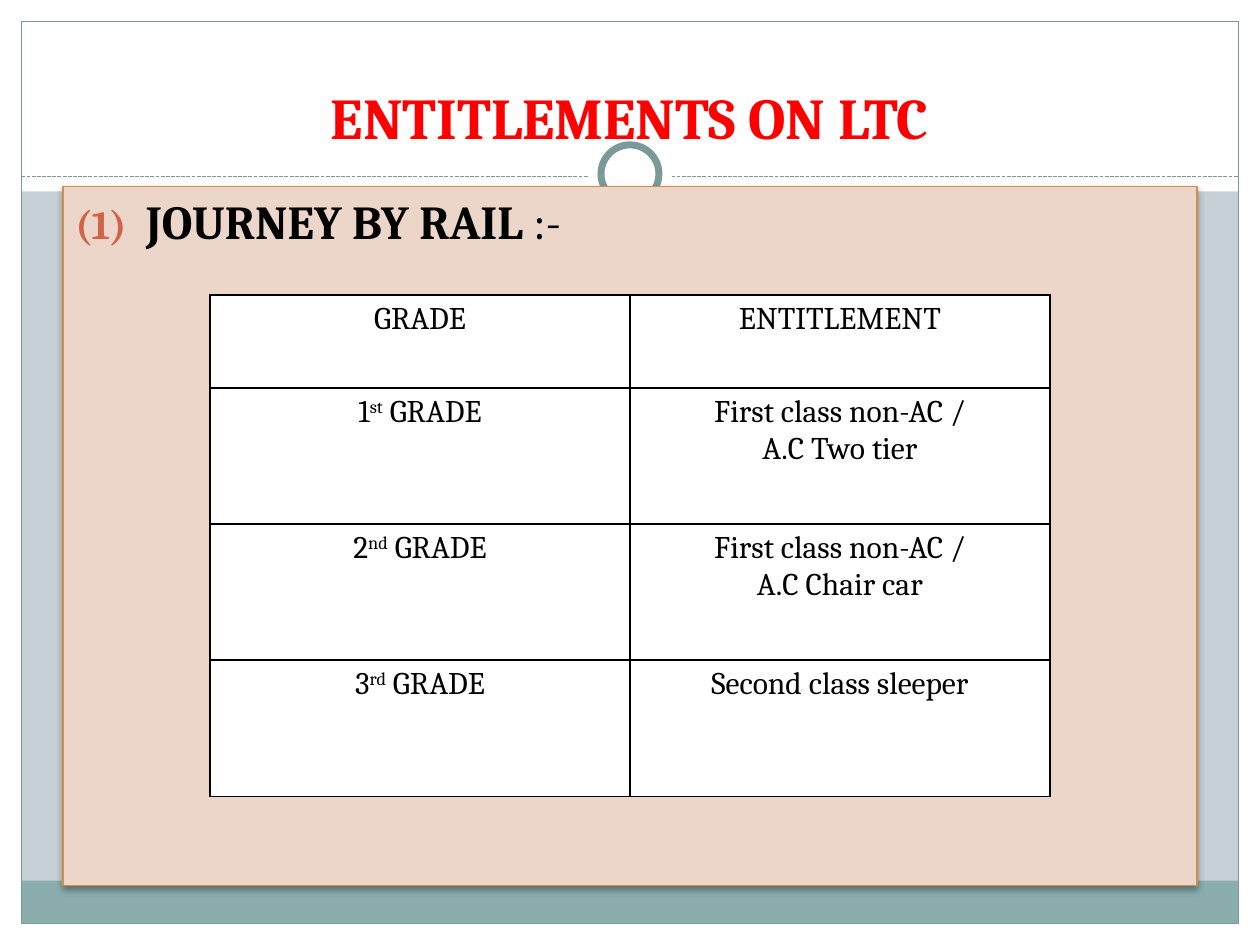
"""Build the slide on rail journey entitlements under LTC."""
import lxml.etree
import pptx
import pptx.dml.color
import pptx.enum.dml
import pptx.enum.shapes
import pptx.enum.text
import pptx.oxml
import pptx.oxml.ns
import pptx.util

RGB = pptx.dml.color.RGBColor
SHAPE = pptx.enum.shapes.MSO_SHAPE
ALIGN = pptx.enum.text.PP_ALIGN
ANCHOR = pptx.enum.text.MSO_ANCHOR
Inches, Pt, qn = pptx.util.Inches, pptx.util.Pt, pptx.oxml.ns.qn

WHITE, BLACK, RED = RGB(255, 255, 255), RGB(0, 0, 0), RGB(255, 0, 0)
BACKDROP, BAND, FRAME = RGB(0xC5, 0xD1, 0xD7), RGB(0x8C, 0xAD, 0xAE), RGB(0x7C, 0x99, 0x9A)
PANEL, PANEL_EDGE = RGB(0xEC, 0xD6, 0xC9), RGB(0xD1, 0x90, 0x49)
FONT = "Cambria"

TITLE = "ENTITLEMENTS ON LTC"
HEADING = [("JOURNEY BY RAIL ", True), (":-", False)]
ROWS = [
    ([["GRADE"]], [["ENTITLEMENT"]]),
    ([["1", "st", " GRADE"]], [["First class non-AC /"], ["A.C Two tier"]]),
    ([["2", "nd", " GRADE"]], [["First class non-AC /"], ["A.C Chair car"]]),
    ([["3", "rd", " GRADE"]], [["Second class sleeper"]]),
]

W, H, MARGIN = 10, 7.5, 0.17
INNER_W, INNER_H = W - 2 * MARGIN, H - 2 * MARGIN
HEADER_H, RULE_Y, BAND_H = 1.52, 1.4, 0.34
RING_Y = 1.38
TABLE_W, TABLE_Y = W * 2 / 3, 2.34
ROW_HEIGHTS = [0.74] + [1.08] * 3

BULLET = (
    '<a:buClr xmlns:a="{0}"><a:srgbClr val="D16349"/></a:buClr>',
    '<a:buSzPct xmlns:a="{0}" val="85000"/>',
    '<a:buFont xmlns:a="{0}" typeface="Cambria"/>',
    '<a:buAutoNum xmlns:a="{0}" type="arabicParenBoth"/>',
)
SHADOW = (
    '<a:outerShdw xmlns:a="{0}" blurRad="50800" dist="25400" dir="5400000" rotWithShape="0">'
    '<a:srgbClr val="000000"><a:alpha val="35000"/></a:srgbClr></a:outerShdw>'
)
BORDER = (
    '<a:{1} xmlns:a="{0}" w="12700"><a:solidFill><a:srgbClr val="000000"/></a:solidFill>'
    '<a:prstDash val="solid"/></a:{1}>'
)


def xml(template, *args):
    return pptx.oxml.parse_xml(template.format(pptx.oxml.ns.nsdecls("a").split('"')[1], *args))


def add_shape(s, box, fill=None, line=None, width=0.75, kind=SHAPE.RECTANGLE):
    sp = s.shapes.add_shape(kind, *map(Inches, box))
    sp.shadow.inherit = False
    if fill is None:
        sp.fill.background()
    else:
        sp.fill.solid()
        sp.fill.fore_color.rgb = fill
    if line is None:
        sp.line.fill.background()
    else:
        sp.line.color.rgb = line
        sp.line.width = Pt(width)
    return sp


def add_run(p, text, size, color=BLACK, bold=False):
    r = p.add_run()
    r.text = text
    r.font.name, r.font.size, r.font.bold = FONT, Pt(size), bold
    r.font.color.rgb = color
    return r


def add_circle(s, size, line=None):
    box = ((W - size) / 2, RING_Y - size / 2, size, size)
    add_shape(s, box, WHITE, line, 4, SHAPE.OVAL)


def add_background(s):
    s.background.fill.solid()
    s.background.fill.fore_color.rgb = BACKDROP
    for box in (
        (0, H - MARGIN, W, MARGIN),
        (0, 0, W, HEADER_H),
        (0, 0, MARGIN, H),
        (W - MARGIN, 0, MARGIN, H),
    ):
        add_shape(s, box, WHITE)
    add_shape(s, (MARGIN, H - MARGIN - BAND_H, INNER_W, BAND_H), BAND)
    add_shape(s, (MARGIN, MARGIN, INNER_W, INNER_H), line=FRAME)
    rule = s.shapes.add_connector(
        pptx.enum.shapes.MSO_CONNECTOR.STRAIGHT,
        *map(Inches, (MARGIN, RULE_Y, W - MARGIN, RULE_Y)),
    )
    rule.line.color.rgb = FRAME
    rule.line.width = Pt(0.75)
    rule.line.dash_style = pptx.enum.dml.MSO_LINE.SQUARE_DOT
    lxml.etree.SubElement(rule._element.spPr, qn("a:effectLst"))
    add_circle(s, 0.67)
    add_circle(s, 0.46, FRAME)


def add_title(s):
    tf = s.shapes.add_textbox(*map(Inches, (0.5, 0.3, 9, 0.95))).text_frame
    tf.word_wrap = True
    tf.vertical_anchor = ANCHOR.BOTTOM
    p = tf.paragraphs[0]
    p.alignment = ALIGN.CENTER
    add_run(p, TITLE, 33, RED, True)


def add_panel(s):
    sp = add_shape(s, (0.5, 1.48, 9, 5.55), PANEL, PANEL_EDGE)
    sp._element.spPr.find(qn("a:effectLst")).append(xml(SHADOW))
    tf = sp.text_frame
    tf.word_wrap = True
    tf.vertical_anchor = ANCHOR.TOP
    p = tf.paragraphs[0]
    p.alignment = ALIGN.LEFT
    p.space_before = Pt(5.4)
    pPr = p._p.get_or_add_pPr()
    pPr.set("marL", str(Inches(0.56)))
    pPr.set("indent", str(-Inches(0.56)))
    for part in BULLET:
        pPr.append(xml(part))
    for text, bold in HEADING:
        add_run(p, text, 27, bold=bold)


def fill_cell(cell, lines):
    tf = cell.text_frame
    for i, parts in enumerate(lines):
        p = tf.add_paragraph() if i else tf.paragraphs[0]
        p.alignment = ALIGN.CENTER
        for j, part in enumerate(parts):
            r = add_run(p, part, 18)
            if j == 1:
                r.font._element.set("baseline", "30000")
    tcPr = cell._tc.get_or_add_tcPr()
    for side in ("lnL", "lnR", "lnT", "lnB"):
        tcPr.append(xml(BORDER, side))
    cell.fill.solid()
    cell.fill.fore_color.rgb = WHITE


def add_grade_table(s):
    box = ((W - TABLE_W) / 2, TABLE_Y, TABLE_W, sum(ROW_HEIGHTS))
    table = s.shapes.add_table(len(ROWS), len(ROWS[0]), *map(Inches, box)).table
    for row, height, contents in zip(table.rows, ROW_HEIGHTS, ROWS):
        row.height = Inches(height)
        for cell, lines in zip(row.cells, contents):
            fill_cell(cell, lines)


def main():
    prs = pptx.Presentation()
    prs.slide_width, prs.slide_height = Inches(W), Inches(H)
    s = prs.slides.add_slide(prs.slide_layouts[6])
    add_background(s)
    add_title(s)
    add_panel(s)
    add_grade_table(s)
    prs.save("out.pptx")


if __name__ == "__main__":
    main()
